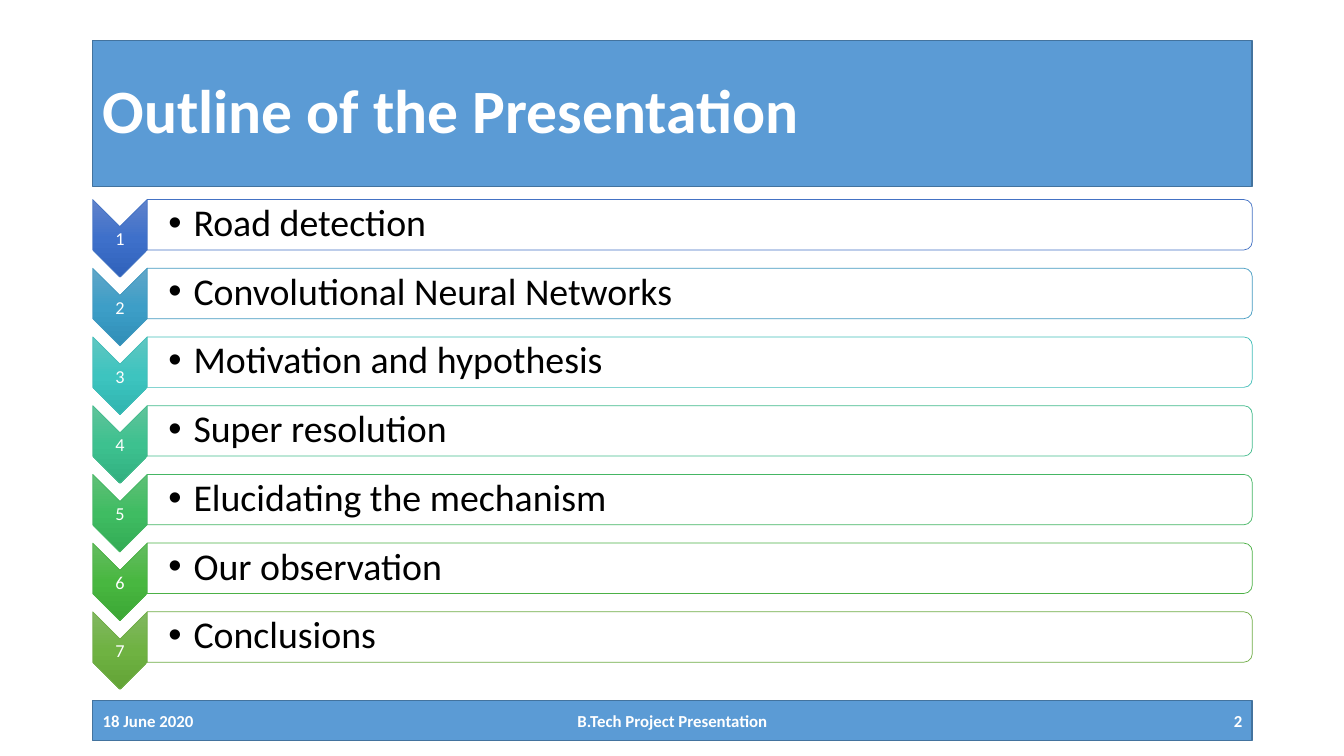
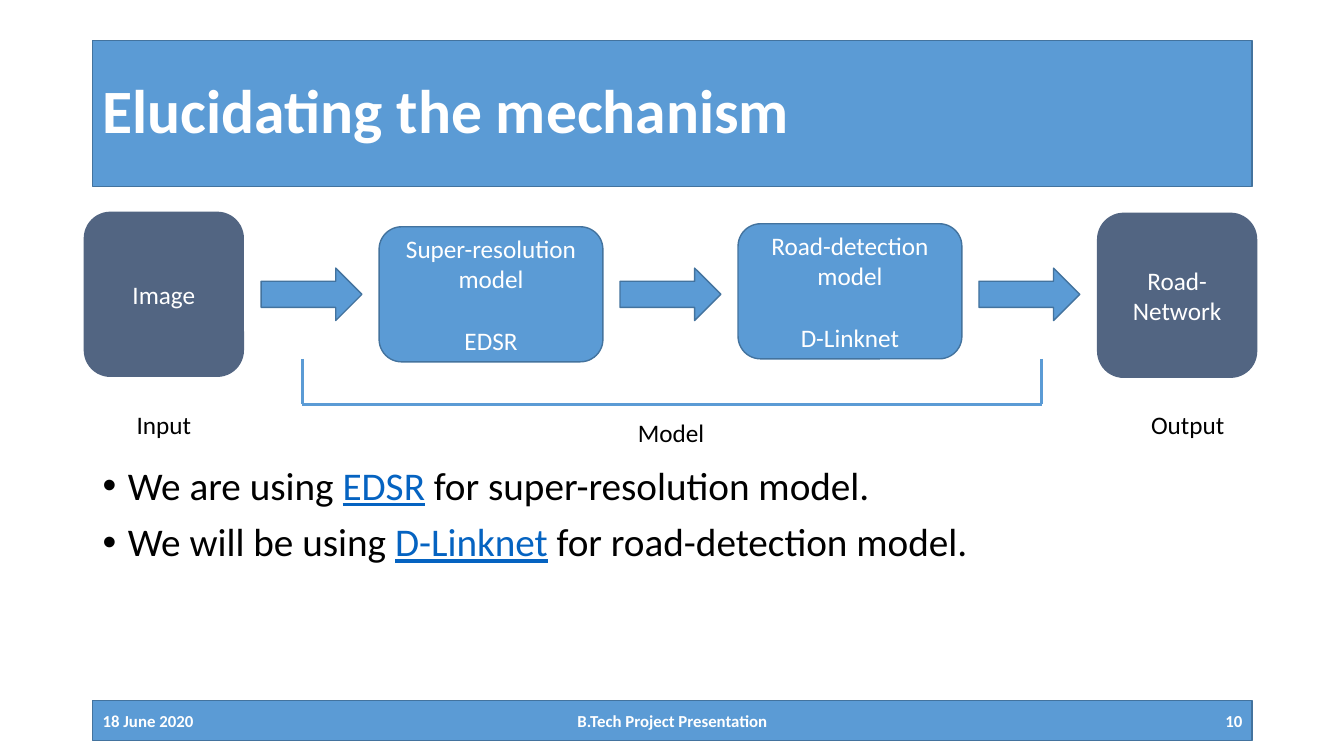
from lxml.etree import SubElement as Sub
from pptx import Presentation
from pptx.dml.color import RGBColor as RGB
from pptx.enum.shapes import MSO_CONNECTOR as LINE, MSO_SHAPE as SHAPE
from pptx.enum.text import MSO_ANCHOR as ANCHOR, PP_ALIGN as ALIGN
from pptx.oxml import parse_xml
from pptx.oxml.ns import nsdecls, qn
from pptx.util import Pt

SCALE = 9144  # EMU in one px

WHITE = RGB(0xFF, 0xFF, 0xFF)
BLACK = RGB(0x00, 0x00, 0x00)
BLUE = RGB(0x5B, 0x9B, 0xD5)
EDGE = RGB(0x43, 0x73, 0x9E)
SLATE = RGB(0x52, 0x65, 0x82)
LINK = RGB(0x05, 0x63, 0xC1)

# Boxes shared by the slides: left, top, width, height
HEAD = (92, 40, 1150, 145)
FOOT = (92, 695, 1150, 40)

# Text formats
MID = {"vertical_anchor": ANCHOR.MIDDLE, "word_wrap": True}
TOP = {"vertical_anchor": ANCHOR.TOP, "word_wrap": True}
TAG = {"vertical_anchor": ANCHOR.TOP, "word_wrap": False}
LEFT = {"alignment": ALIGN.LEFT}
MIDST = {"alignment": ALIGN.CENTER}
RIGHT = {"alignment": ALIGN.RIGHT}
TIGHT = {"alignment": ALIGN.LEFT, "line_spacing": 0.9}
TITLE = {"size": Pt(44), "bold": True, "color": WHITE}
SMALL = {"size": Pt(12), "bold": True, "color": WHITE}
COUNT = {"size": Pt(13), "color": WHITE}
ITEM = {"size": Pt(27), "color": BLACK}
BODY = {"size": Pt(28), "color": BLACK}
NODE = {"size": Pt(18), "color": WHITE}
LABEL = {"size": Pt(18), "color": BLACK}
URL = {"color": LINK, "underline": True}

# Outline rows: text, line colour, three shades of the chevron
ROWS = [
    ("Road detection", "4472C4", ("6183CB", "3E70CA", "3062BB")),
    ("Convolutional Neural Networks", "449BC1", ("61A6C8", "3D9EC7", "308FB8")),
    ("Motivation and hypothesis", "43BEB9", ("60C6C1", "3DC4BF", "30B5B0")),
    ("Super resolution", "43BB8D", ("60C39A", "3DC18F", "31B080")),
    ("Elucidating the mechanism", "45B664", ("60C077", "3FBC62", "33AC55")),
    ("Our observation", "4CB146", ("65BC61", "48B740", "3CA735")),
    ("Conclusions", "70AD47", ("81B861", "6FB242", "62A336")),
]

# Flow steps: lines, width, height, shift from the middle, fill, edge
STEPS = [
    (["Image"], 159, 164, 0, SLATE, None),
    (["Super-resolution model", "EDSR"], 222, 134, 0, BLUE, EDGE),
    (["Road-detection model", "D-Linknet"], 222, 134, -3, BLUE, EDGE),
    (["Road-Network"], 159, 164, 1, SLATE, None),
]

NOTES = [
    [("We are using ", {}), ("EDSR", URL), (" for super-resolution model.", {})],
    [("We will be using ", {}), ("D-Linknet", URL),
     (" for road-detection model.", {})],
]


def px(*vals):
    return [round(val * SCALE) for val in vals]


def apply(item, form):
    for key, val in form.items():
        if key == "color":
            item.color.rgb = val
        else:
            setattr(item, key, val)


def dot(para):
    """Give a paragraph a hanging bullet."""
    prop = para._p.get_or_add_pPr()
    prop.set("marL", "228600")
    prop.set("indent", "-228600")
    Sub(prop, qn("a:buFont")).set("typeface", "Arial")
    Sub(prop, qn("a:buChar")).set("char", "•")


def write(shape, paras, font, look=LEFT, hold=MID, gap=0, dots=False):
    """Fill a shape; a paragraph is a string or a list of (text, format)."""
    frame = shape.text_frame
    apply(frame, hold)
    for num, runs in enumerate(paras):
        para = frame.add_paragraph() if num else frame.paragraphs[0]
        if dots:
            dot(para)
        apply(para, look)
        if num and gap:
            para.space_before = Pt(gap)
        for text, more in [(runs, {})] if isinstance(runs, str) else runs:
            run = para.add_run()
            run.text = text
            apply(run.font, {"name": "Calibri", **font, **more})


def label(slide, box, paras, font, look=LEFT, hold=MID, pads=None, **opts):
    shape = slide.shapes.add_textbox(*px(*box))
    if pads:
        sides = ("margin_left", "margin_top", "margin_right", "margin_bottom")
        apply(shape.text_frame, dict(zip(sides, px(*pads))))
    write(shape, paras, font, look, hold, **opts)


def block(slide, kind, box, fill, edge=None, width=1):
    shape = slide.shapes.add_shape(kind, *px(*box))
    shape.shadow.inherit = False
    shape.fill.solid()
    shape.fill.fore_color.rgb = fill
    if edge is None:
        shape.line.fill.background()
    else:
        shape.line.color.rgb = edge
        shape.line.width = Pt(width)
    return shape


def turned(slide, kind, box, fill, edge):
    """Place a shape, turned by 90 degrees, so that it covers the box."""
    x, y, w, h = box
    spot = (x + (w - h) / 2, y + (h - w) / 2, h, w)
    shape = block(slide, kind, spot, fill, edge, 0.5)
    shape.rotation = 90
    return shape


def shade(shape, hues):
    """Swap a solid fill for a gradient that runs down the slide."""
    stops = "".join(
        f'<a:gs pos="{num * 50000}"><a:srgbClr val="{hue}"/></a:gs>'
        for num, hue in enumerate(hues))
    grad = parse_xml(
        f'<a:gradFill {nsdecls("a")} rotWithShape="0"><a:gsLst>{stops}'
        '</a:gsLst><a:lin ang="5400000" scaled="0"/></a:gradFill>')
    prop = shape._element.spPr
    prop.replace(prop.find(qn("a:solidFill")), grad)


def fade(shape, share):
    hue = shape._element.spPr.find(qn("a:solidFill"))[0]
    Sub(hue, qn("a:alpha")).set("val", str(share * 1000))


def stroke(slide, start, end):
    line = slide.shapes.add_connector(LINE.STRAIGHT, *px(*start, *end))
    line.line.color.rgb = BLUE
    line.line.width = Pt(2.25)
    Sub(line._element.spPr, qn("a:effectLst"))


def base(deck, title, page):
    """Start a slide with its title band and footer band."""
    slide = deck.slides.add_slide(deck.slide_layouts[6])
    for box in (HEAD, FOOT):
        block(slide, SHAPE.RECTANGLE, box, BLUE, EDGE)
    label(slide, HEAD, [title], TITLE, TIGHT)
    x, y, w, h = FOOT
    label(slide, (x, y, 300, h), ["18 June 2020"], SMALL)
    label(slide, (x + 350, y, w - 700, h), ["B.Tech Project Presentation"],
          SMALL, MIDST)
    label(slide, (x + w - 300, y, 300, h), [str(page)], SMALL, RIGHT)
    return slide


def outline(slide, box):
    """Numbered chevrons, each with a bar beside it."""
    x, y, w, h = box
    tall, wide, bar = 77, 54, 50
    for num, (text, edge, hues) in enumerate(ROWS):
        top = y + num * (h - tall) / (len(ROWS) - 1)
        edge = RGB.from_string(edge)
        tip = turned(slide, SHAPE.CHEVRON, (x, top, wide, tall), BLUE, edge)
        shade(tip, hues)
        label(slide, (x, top + 27, wide, 23), [str(num + 1)], COUNT, MIDST,
              pads=(1, 1, 1, 1))
        left, rest = x + wide, w - wide
        pane = turned(slide, SHAPE.ROUND_2_SAME_RECTANGLE,
                      (left, top, rest, bar), WHITE, edge)
        fade(pane, 90)
        label(slide, (left, top + 2, rest - 3, 45), [text], ITEM, TIGHT,
              pads=(21, 2, 2, 2), dots=True)


def flow(slide, box):
    """Steps in a row with arrows between, and a bracket below."""
    x, y, w, h = box
    gap, long, thick = 17, 100, 52
    mid = y + 82
    left = x
    for num, (lines, wide, tall, shift, fill, edge) in enumerate(STEPS):
        if num:
            spot = (left + gap, mid - thick / 2, long, thick)
            block(slide, SHAPE.RIGHT_ARROW, spot, BLUE, EDGE)
            left += long + 2 * gap
        spot = (left, mid - tall / 2 + shift, wide, tall)
        node = block(slide, SHAPE.ROUNDED_RECTANGLE, spot, fill, edge)
        write(node, lines, NODE, MIDST, gap=22)
        left += wide

    # Bracket
    start, end, top, low = x + 217, x + 950, y + 146, y + 191
    for side in (start, end):
        stroke(slide, (side, top), (side, low))
    stroke(slide, (start, low), (end, low))

    # Captions
    for text, dx, dy, wide in (("Model", 539, 199, 87), ("Input", 42, 191, 75),
                               ("Output", 1048, 191, 94)):
        label(slide, (x + dx, y + dy, wide, 40), [text], LABEL, MIDST, TAG)


def main():
    deck = Presentation()
    deck.slide_width, deck.slide_height = px(1333, 750)

    outline(base(deck, "Outline of the Presentation", 2), (92, 198, 1150, 486))

    slide = base(deck, "Elucidating the mechanism", 10)
    flow(slide, (83, 210, 1165, 239))
    label(slide, (92, 458, 1150, 218), NOTES, BODY, TIGHT, TOP,
          gap=10, dots=True)

    deck.save("out.pptx")


if __name__ == "__main__":
    main()
